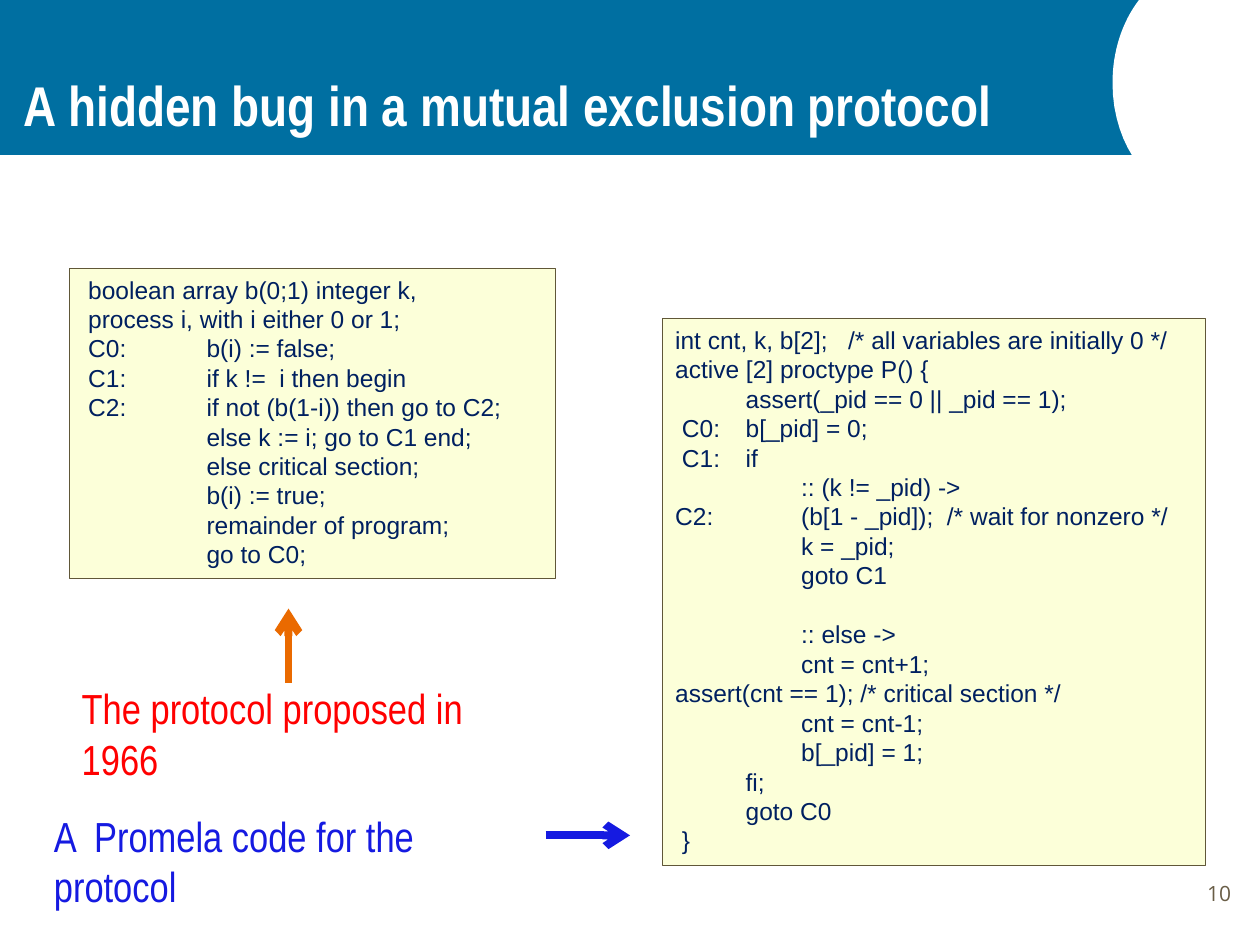
"""Build the slide on a hidden bug in a mutual exclusion protocol."""
from pptx import Presentation
from pptx.dml.color import RGBColor
from pptx.enum.shapes import MSO_CONNECTOR, MSO_SHAPE
from pptx.enum.text import MSO_ANCHOR, MSO_AUTO_SIZE, PP_ALIGN
from pptx.oxml.ns import qn
from pptx.util import Inches, Pt
from lxml.etree import SubElement

COLORS = {
    "band": "006FA1", "white": "FFFFFF", "page": "695D46", "code": "002060",
    "paper": "FCFFD9", "border": "605738", "red": "FF0000",
    "blue": "151AE1", "orange": "EA6A00",
}


def color(name):
    return RGBColor.from_string(COLORS[name])


def write(frame, text, size=14, font="Arial", ink="code", bold=False,
          align=PP_ALIGN.LEFT, anchor=MSO_ANCHOR.TOP, inset=(0.1, 0.05), tabs=()):
    frame.word_wrap = True
    frame.auto_size = MSO_AUTO_SIZE.NONE
    frame.vertical_anchor = anchor
    frame.margin_left = frame.margin_right = Inches(inset[0])
    frame.margin_top = frame.margin_bottom = Inches(inset[1])
    for number, line in enumerate(text.split("\n")):
        paragraph = frame.add_paragraph() if number else frame.paragraphs[0]
        paragraph.alignment = align
        if tabs:
            stops = SubElement(paragraph._p.get_or_add_pPr(), qn("a:tabLst"))
            for stop in tabs:
                SubElement(stops, qn("a:tab"), pos=str(Inches(stop)), algn="l")
        run = paragraph.add_run()
        run.text = line
        run.font.size = Pt(size)
        run.font.name = font
        run.font.bold = bold
        run.font.color.rgb = color(ink)


deck = Presentation()
deck.slide_width, deck.slide_height = Inches(10), Inches(7.5)
COL, ROW = deck.slide_width / 100, deck.slide_height / 75
slide = deck.slides.add_slide(deck.slide_layouts[5])
shapes = slide.shapes

band = shapes.add_shape(MSO_SHAPE.RECTANGLE, 0, 0, int(95.3 * COL), int(12.3 * ROW))
band.shadow.inherit = False
band.fill.solid()
band.fill.fore_color.rgb = color("band")
band.line.fill.background()

bite_curves = [
    [(100, 13.5), (98.8, 15), (97.2, 15.8), (95.4, 15.8)],
    [(95.4, 15.8), (91.5, 15.8), (88.3, 11.7), (88.3, 6.6)],
    [(88.3, 6.6), (88.3, 4), (89.1, 1.7), (90.4, 0)],
]
bite_edge = [(100, 0)]
STEPS = 16
for curve in bite_curves:
    for step in range(STEPS + 1):
        t = step / STEPS
        weights = ((1 - t) ** 3, 3 * t * (1 - t) ** 2, 3 * t * t * (1 - t), t ** 3)
        bite_edge.append(tuple(sum(w * point[axis] for w, point in zip(weights, curve))
                               for axis in (0, 1)))
outline = shapes.build_freeform(int(90.4 * COL), 0)
outline.add_line_segments([(int(x * COL), int(y * ROW)) for x, y in bite_edge], close=True)
bite = outline.convert_to_shape()
bite.shadow.inherit = False
bite.fill.solid()
bite.fill.fore_color.rgb = color("white")
bite.line.fill.background()

title = shapes.title
title.left, title.top = int(0.9 * COL), int(-0.6 * ROW)
title.width, title.height = int(85 * COL), int(12.5 * ROW)
write(title.text_frame, "A hidden bug in a mutual exclusion protocol", size=32,
      font="Arial Narrow", ink="white", bold=True, anchor=MSO_ANCHOR.BOTTOM,
      inset=(0.1, 0.1))
title.element.getparent().append(title.element)

pseudocode = """boolean array b(0;1) integer k,
process i, with i either 0 or 1;
C0:\tb(i) := false;
C1:\tif k !=  i then begin
C2:\tif not (b(1-i)) then go to C2;
\telse k := i; go to C1 end;
\telse critical section;
\tb(i) := true;
\tremainder of program;
\tgo to C0;"""
promela = """int cnt, k, b[2];   /* all variables are initially 0 */
active [2] proctype P() {
\tassert(_pid == 0 || _pid == 1);
 C0:\tb[_pid] = 0;
 C1:\tif
\t\t:: (k != _pid) ->
C2:\t\t(b[1 - _pid]);  /* wait for nonzero */
\t\tk = _pid;
\t\tgoto C1
\t\t:: else ->
\t\tcnt = cnt+1;
assert(cnt == 1); /* critical section */
\t\tcnt = cnt-1;
\t\tb[_pid] = 1;
\tfi;
\tgoto C0
 }"""
listings = [
    (pseudocode, 5.5, 21.3, 38.6, 24.6, 0.15, (0.94,)),
    (promela, 52.6, 25.3, 43.1, 43.4, 0.1, (0.56, 1)),
]
for code, x, y, w, h, indent, tabs in listings:
    listing = shapes.add_shape(MSO_SHAPE.RECTANGLE, int(x * COL), int(y * ROW),
                               int(w * COL), int(h * ROW))
    listing.shadow.inherit = False
    listing.fill.solid()
    listing.fill.fore_color.rgb = color("paper")
    listing.line.color.rgb = color("border")
    listing.line.width = Pt(0.75)
    write(listing.text_frame, code, inset=(indent, 0.05), tabs=tabs)
    for paragraph in listing.text_frame.paragraphs:
        if ":: else" in paragraph.text:
            paragraph.space_before = Pt(17)

caption = {"size": 24, "font": "Arial Narrow"}
page_number = {"size": 12, "font": "Open Sans", "ink": "page", "align": PP_ALIGN.RIGHT,
               "anchor": MSO_ANCHOR.MIDDLE, "inset": (0.1, 0.1)}
labels = [
    ("10", 92.7, 68, 6, 5.7, page_number),
    ("The protocol proposed in 1966", 5.5, 53.7, 37.9, 5, {**caption, "ink": "red"}),
    ("A  Promela code for the protocol", 3.3, 63.8, 40, 5, {**caption, "ink": "blue"}),
]
for text, x, y, w, h, style in labels:
    label = shapes.add_textbox(int(x * COL), int(y * ROW), int(w * COL), int(h * ROW))
    write(label.text_frame, text, **style)

arrows = [
    ("orange", 22.9, 54.2, 22.9, 48.3),
    ("blue", 43.3, 66.3, 50, 66.3),
]
for ink, x1, y1, x2, y2 in arrows:
    arrow = shapes.add_connector(MSO_CONNECTOR.STRAIGHT, int(x1 * COL), int(y1 * ROW),
                                 int(x2 * COL), int(y2 * ROW))
    arrow.line.color.rgb = color(ink)
    arrow.line.width = Pt(4.5)
    SubElement(arrow.line._get_or_add_ln(), qn("a:tailEnd"), type="arrow")
    SubElement(arrow._element.spPr, qn("a:effectLst"))

deck.save("out.pptx")
